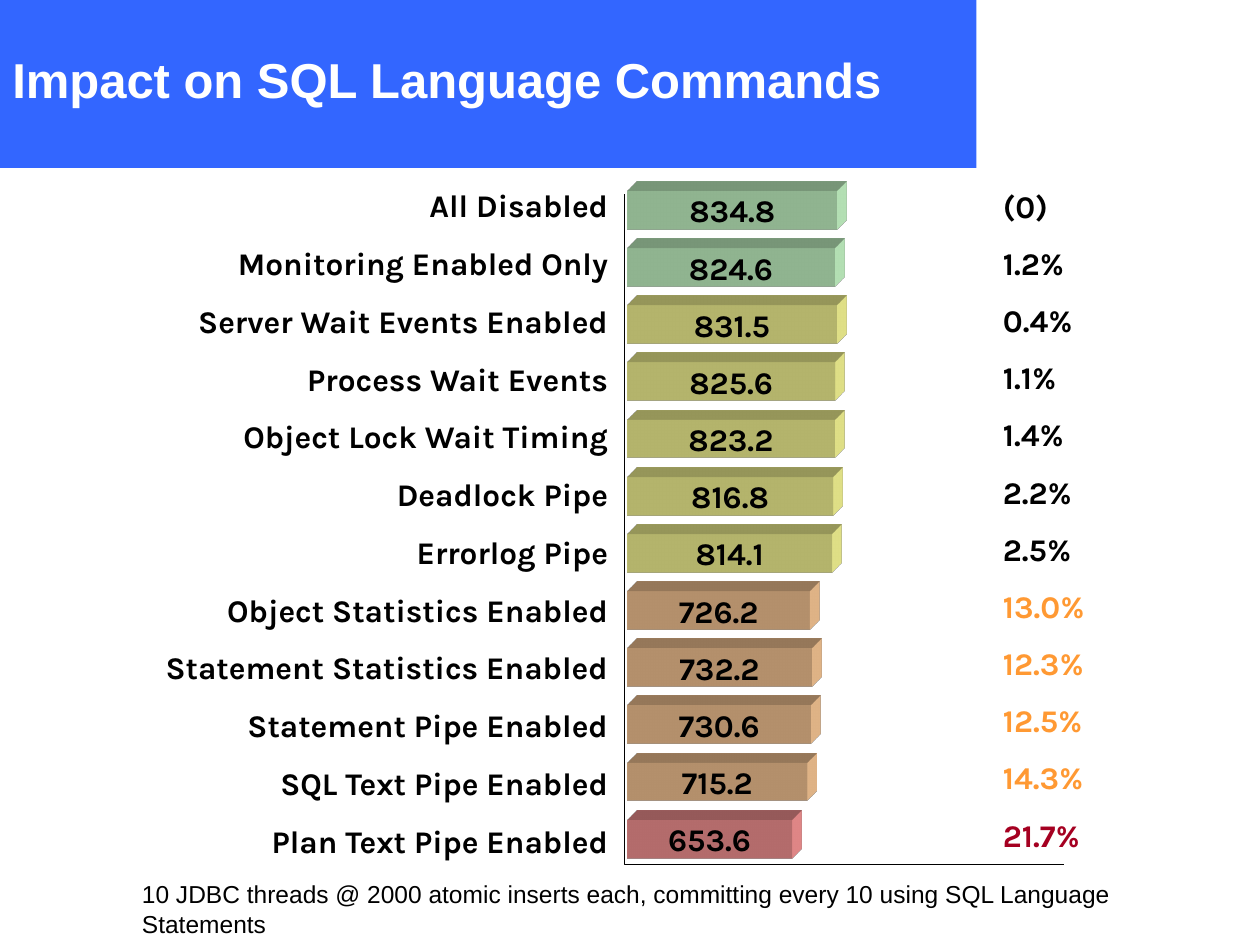
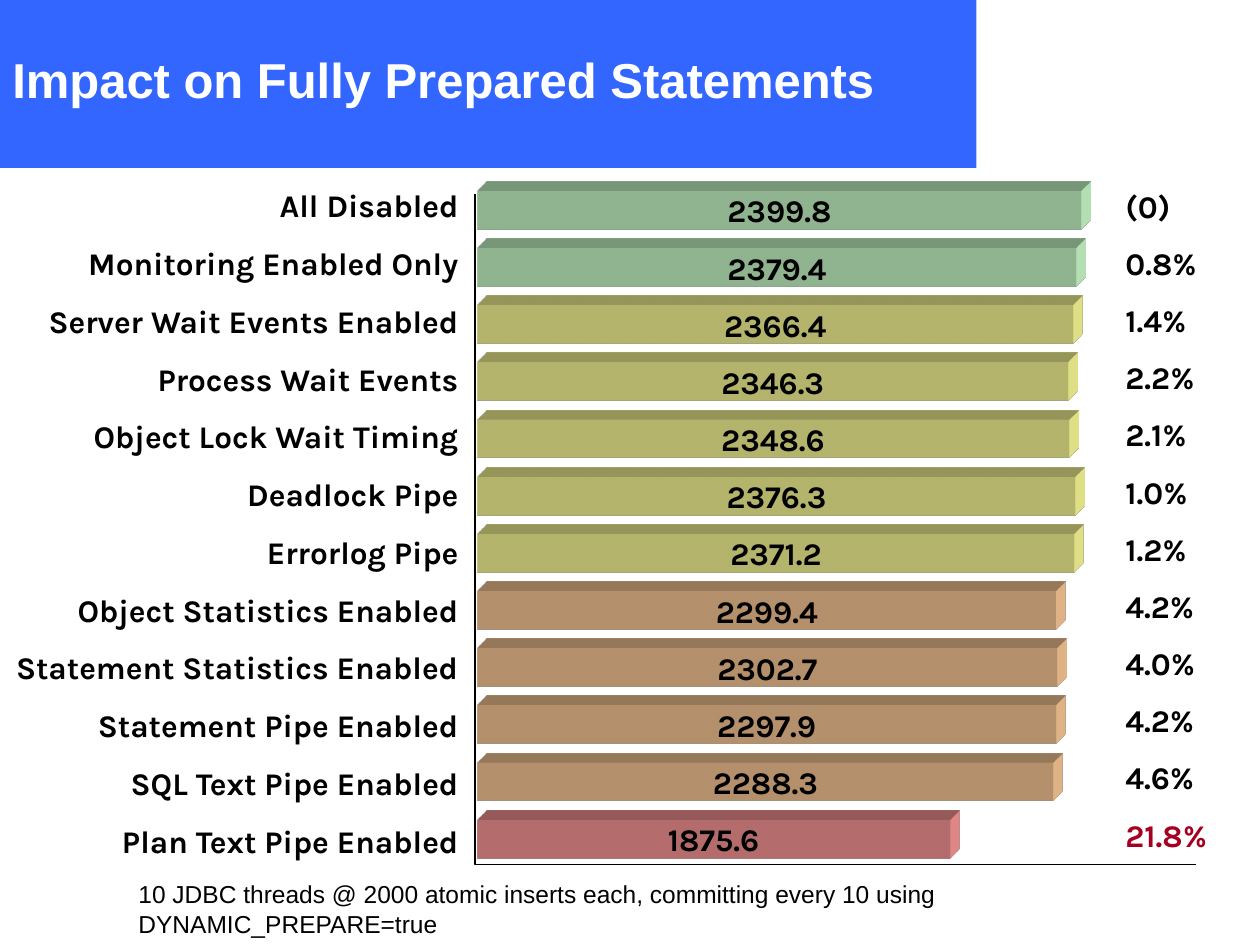
from lxml.etree import SubElement
from pptx import Presentation
from pptx.dml.color import RGBColor
from pptx.enum.shapes import MSO_SHAPE
from pptx.enum.text import MSO_ANCHOR, MSO_AUTO_SIZE, PP_ALIGN
from pptx.oxml.ns import qn
from pptx.util import Pt

BLUE, WHITE, BLACK = "3366FF", "FFFFFF", "000000"
GREEN, YELLOW, ORANGE, RED = "CCFFCC", "FFFF99", "FFCC99", "FF9999"
AMBER, CRIMSON = "FF9933", "A50021"
LABEL_PITCH, BAR_PITCH = 33, 32.66
POINTS_PER_100 = 14.37

# Setting, width of its label, bar colour
SETTINGS = [
    ("All Disabled", 121, GREEN),
    ("Monitoring Enabled Only", 237, GREEN),
    ("Server Wait Events Enabled", 264, YELLOW),
    ("Process Wait Events", 197, YELLOW),
    ("Object Lock Wait Timing", 235, YELLOW),
    ("Deadlock Pipe", 143, YELLOW),
    ("Errorlog Pipe", 132, YELLOW),
    ("Object Statistics Enabled", 240, ORANGE),
    ("Statement Statistics Enabled", 275, ORANGE),
    ("Statement Pipe Enabled", 231, ORANGE),
    ("SQL Text Pipe Enabled", 217, ORANGE),
    ("Plan Text Pipe Enabled", 222, RED),
]
LOSS_WIDTHS = {3: 42, 4: 65, 5: 76}

SQL_RATES = [834.8, 824.6, 831.5, 825.6, 823.2, 816.8,
             814.1, 726.2, 732.2, 730.6, 715.2, 653.6]
SQL_LOSSES = ["(0)", "1.2%", "0.4%", "1.1%", "1.4%", "2.2%",
              "2.5%", "13.0%", "12.3%", "12.5%", "14.3%", "21.7%"]
PREPARED_RATES = [2399.8, 2379.4, 2366.4, 2346.3, 2348.6, 2376.3,
                  2371.2, 2299.4, 2302.7, 2297.9, 2288.3, 1875.6]
PREPARED_LOSSES = ["(0)", "0.8%", "1.4%", "2.2%", "2.1%", "1.0%",
                   "1.2%", "4.2%", "4.0%", "4.2%", "4.6%", "21.8%"]


def color(value):
    return RGBColor.from_string(value)


def write(shape, text, size=18, font="Karla", ink=BLACK, bold=True,
          align=PP_ALIGN.LEFT, anchor=MSO_ANCHOR.TOP, wrap=False):
    frame = shape.text_frame
    frame.word_wrap = wrap
    frame.vertical_anchor = anchor
    paragraph = frame.paragraphs[0]
    paragraph.alignment = align
    run = paragraph.add_run()
    run.text = text
    run.font.size = Pt(size)
    run.font.name = font
    run.font.bold = bold
    run.font.color.rgb = color(ink)


def add_text(slide, text, left, top, width, height, **style):
    shape = slide.shapes.add_textbox(Pt(left), Pt(top), Pt(width), Pt(height))
    write(shape, text, **style)
    shape.text_frame.auto_size = MSO_AUTO_SIZE.SHAPE_TO_FIT_TEXT


def add_rectangle(slide, fill, left, top, width, height):
    shape = slide.shapes.add_shape(MSO_SHAPE.RECTANGLE, Pt(left), Pt(top),
                                   Pt(width), Pt(height))
    shape.fill.solid()
    shape.fill.fore_color.rgb = color(fill)
    shape.line.fill.background()
    shape.shadow.inherit = False
    return shape


def extrude(shape, fill):
    """Give the shape depth towards the top right."""
    properties = shape._element.spPr
    scene = SubElement(properties, qn("a:scene3d"))
    SubElement(scene, qn("a:camera"), prst="legacyObliqueTopRight")
    SubElement(scene, qn("a:lightRig"), rig="legacyFlat3", dir="b")
    solid = SubElement(properties, qn("a:sp3d"), extrusionH="201600",
                       prstMaterial="legacyMatte")
    for bevel in ("a:bevelT", "a:bevelB"):
        SubElement(solid, qn(bevel), w="13500", h="13500", prst="angle")
    extrusion = SubElement(solid, qn("a:extrusionClr"))
    SubElement(extrusion, qn("a:srgbClr"), val=fill)


def add_title_band(slide, title):
    add_rectangle(slide, BLUE, 0, 0, 558, 96)
    box = add_rectangle(slide, BLUE, 0, 0, 543, 90)
    write(box, title, size=28, font="Arial", ink=WHITE,
          anchor=MSO_ANCHOR.MIDDLE, wrap=True)


def add_axes(slide, left, top, width, height):
    builder = slide.shapes.build_freeform(Pt(left), Pt(top))
    builder.add_line_segments([(Pt(left), Pt(top + height)),
                               (Pt(left + width), Pt(top + height))], close=False)
    axes = builder.convert_to_shape()
    axes.fill.background()
    axes.line.color.rgb = color(BLACK)
    axes.line.width = Pt(0.75)
    axes.shadow.inherit = False


def loss_ink(loss):
    percent = float(loss.strip("()%"))
    return CRIMSON if percent > 20 else AMBER if percent > 10 else BLACK


def add_bars(slide, rates, losses, left, top, width, height, loss_left):
    """Draw the bars in the box of the axes, labels to its left."""
    add_axes(slide, left, top, width, height)
    for row, (name, label_width, _) in enumerate(SETTINGS):
        add_text(slide, name, left - 2.4 - label_width,
                 top - 8 + row * LABEL_PITCH, label_width, 29,
                 align=PP_ALIGN.RIGHT)
    for row, ((_, _, fill), rate) in enumerate(zip(SETTINGS, rates)):
        bar = add_rectangle(slide, fill, left + 1.5,
                            top - 1.7 + row * BAR_PITCH,
                            rate * POINTS_PER_100 / 100, 21.8)
        extrude(bar, fill)
        write(bar, str(rate), align=PP_ALIGN.CENTER, anchor=MSO_ANCHOR.MIDDLE)
    for row, loss in enumerate(losses):
        add_text(slide, loss, loss_left, top - 7.8 + row * BAR_PITCH,
                 LOSS_WIDTHS[len(loss)], 29, ink=loss_ink(loss))


def add_impact_slide(presentation, title, rates, losses, axis_left, axis_width,
                     loss_left, note, note_left):
    slide = presentation.slides.add_slide(presentation.slide_layouts[6])
    add_title_band(slide, title)
    add_bars(slide, rates, losses, axis_left, 111, axis_width, 383, loss_left)
    add_text(slide, "10 JDBC threads @ 2000 atomic inserts each, "
             "committing every 10 using " + note, note_left, 499, 625, 24,
             size=14, font="Arial", bold=False, wrap=True)


def main():
    presentation = Presentation()
    presentation.slide_width, presentation.slide_height = Pt(720), Pt(540)
    add_impact_slide(presentation, "Impact on SQL Language Commands",
                     SQL_RATES, SQL_LOSSES, 357, 251, 566,
                     "SQL Language Statements", 74)
    add_impact_slide(presentation, "Impact on Fully Prepared Statements",
                     PREPARED_RATES, PREPARED_LOSSES, 271.5, 412, 636,
                     "DYNAMIC_PREPARE=true", 72)
    presentation.save("out.pptx")


if __name__ == "__main__":
    main()
